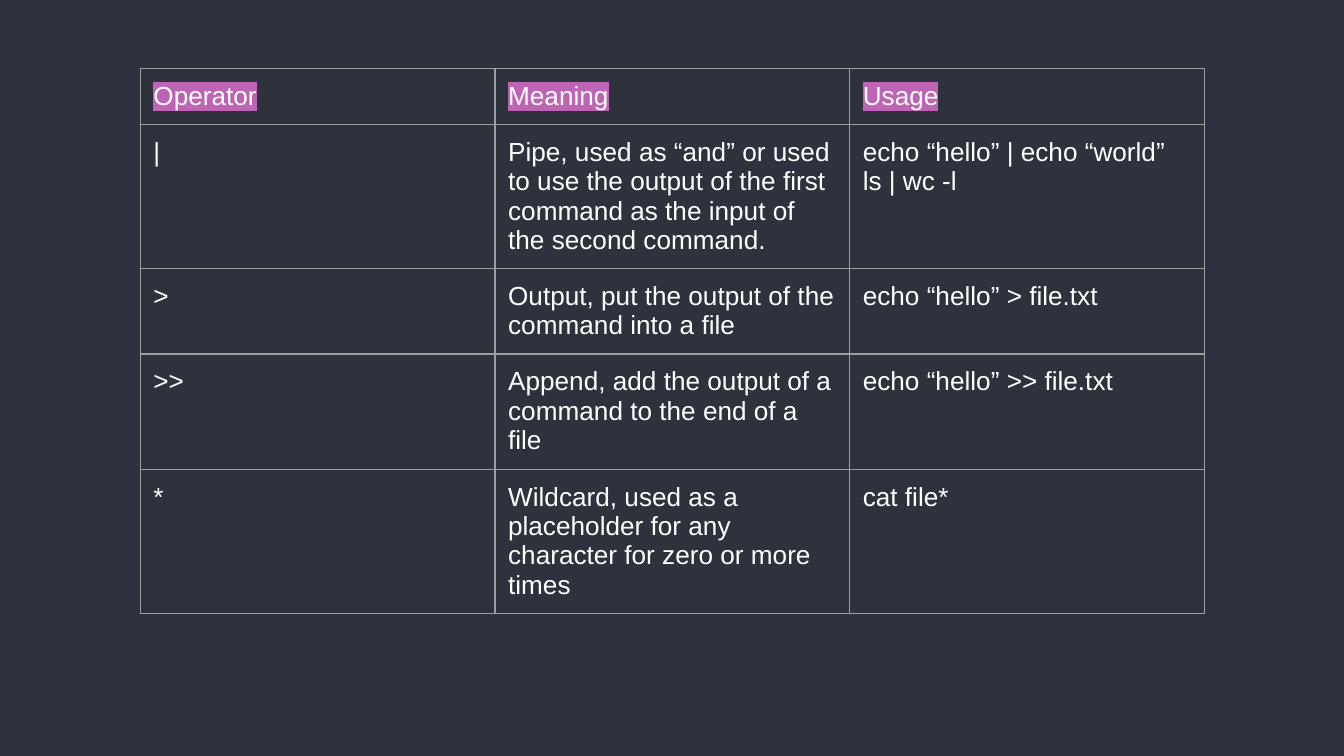
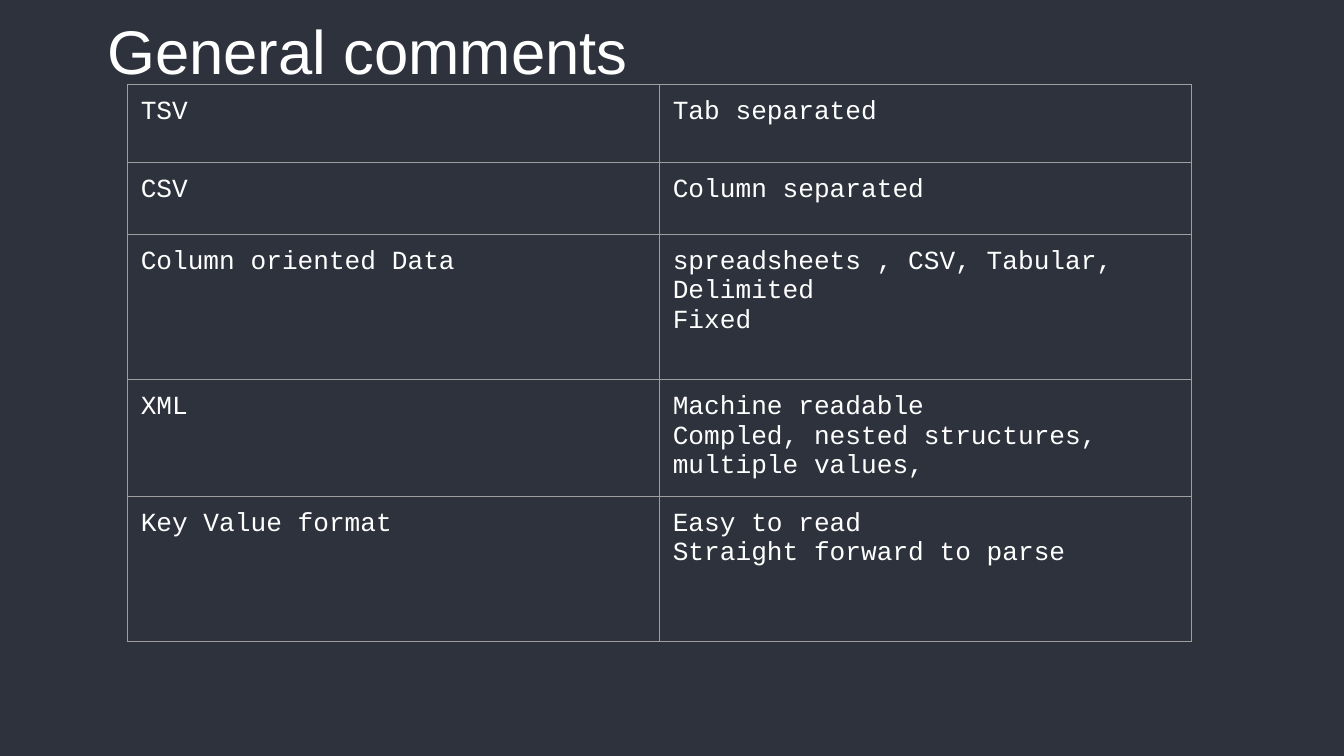
"""Build two dark slides: shell operators and data format comments."""
from lxml import etree
from pptx import Presentation
from pptx import util as u
from pptx.dml.color import RGBColor
from pptx.enum import text
from pptx.oxml import ns

COLORS = {"background": "2D323C", "text": "FFFFFF", "border": "9E9E9E", "highlight": "BD64B5"}
INSET = u.Cm(0.25)
TABLE_WIDTH = 20.11


def write(frame, words, size=14, font="Arial", highlight=None):
    """Fill a text frame with one paragraph per line of words."""
    frame.text = words
    frame.word_wrap = True
    for para in frame.paragraphs:
        para.alignment = text.PP_ALIGN.LEFT
        for span in para.runs:
            span.font.size = u.Pt(size)
            span.font.color.rgb = RGBColor.from_string(COLORS["text"])
            if highlight:
                mark = etree.Element(ns.qn("a:highlight"))
                etree.SubElement(mark, ns.qn("a:srgbClr"), val=highlight)
                span.font.fill._xPr.append(mark)
            span.font.name = font


def draw_table(page, left, top, rows, heights, font, header=None):
    """Add a bordered table with equal columns."""
    columns = len(rows[0])
    frame = page.shapes.add_table(len(rows), columns, u.Cm(left), u.Cm(top),
                                  u.Cm(TABLE_WIDTH), u.Cm(sum(heights)))
    table = frame.table
    table.first_row = table.horz_banding = False
    for column in table.columns:
        column.width = u.Cm(TABLE_WIDTH / columns)
    for index, (row, height) in enumerate(zip(rows, heights)):
        table.rows[index].height = u.Cm(height)
        for cell, words in zip(table.rows[index].cells, row):
            cell.margin_left = cell.margin_right = cell.margin_top = INSET
            cell.margin_bottom = u.Cm(0.15)
            write(cell.text_frame, words, font=font, highlight=header if index == 0 else None)
            cell.fill.background()
            properties = cell._tc.get_or_add_tcPr()
            for place, side in enumerate(("lnL", "lnR", "lnT", "lnB")):
                line = etree.Element(ns.qn(f"a:{side}"), w=str(u.Pt(0.75)))
                fill = etree.SubElement(line, ns.qn("a:solidFill"))
                etree.SubElement(fill, ns.qn("a:srgbClr"), val=COLORS["border"])
                properties.insert(place, line)


deck = Presentation()
deck.slide_width, deck.slide_height = u.Cm(25.4), u.Cm(14.29)
pages = [deck.slides.add_slide(deck.slide_layouts[6]) for _ in range(2)]
for page in pages:
    page.background.fill.solid()
    page.background.fill.fore_color.rgb = RGBColor.from_string(COLORS["background"])
operators_page, comments_page = pages

operators = [
    ("Operator", "Meaning", "Usage"),
    ("|", "Pipe, used as “and” or used to use the output of the first command "
     "as the input of the second command.", "echo “hello” | echo “world”\vls | wc -l"),
    (">", "Output, put the output of the command into a file", "echo “hello” > file.txt"),
    (">>", "Append, add the output of a command to the end of a file", "echo “hello” >> file.txt"),
    ("*", "Wildcard, used as a placeholder for any character for zero or more times", "cat file*"),
]
draw_table(operators_page, 2.65, 1.29, operators, [1.06, 2.72, 1.62, 2.18, 2.72],
           "Arial", COLORS["highlight"])

title = comments_page.shapes.add_textbox(u.Cm(1.78), 0, u.Cm(21.41), u.Cm(1.6))
title.text_frame.margin_left = title.text_frame.margin_right = INSET
title.text_frame.margin_top, title.text_frame.margin_bottom = INSET, 0
title.text_frame.vertical_anchor = text.MSO_ANCHOR.TOP
write(title.text_frame, "General comments", size=33)

formats = [
    ("TSV", "Tab separated"),
    ("CSV", "Column separated"),
    ("Column oriented Data", "spreadsheets , CSV, Tabular, Delimited\nFixed"),
    ("XML", "Machine readable\nCompled, nested structures, multiple values,"),
    ("Key Value format", "Easy to read\nStraight forward to parse"),
]
draw_table(comments_page, 2.41, 1.6, formats, [1.47, 1.36, 2.75, 2.2, 2.75], "Courier New")

deck.save("out.pptx")
